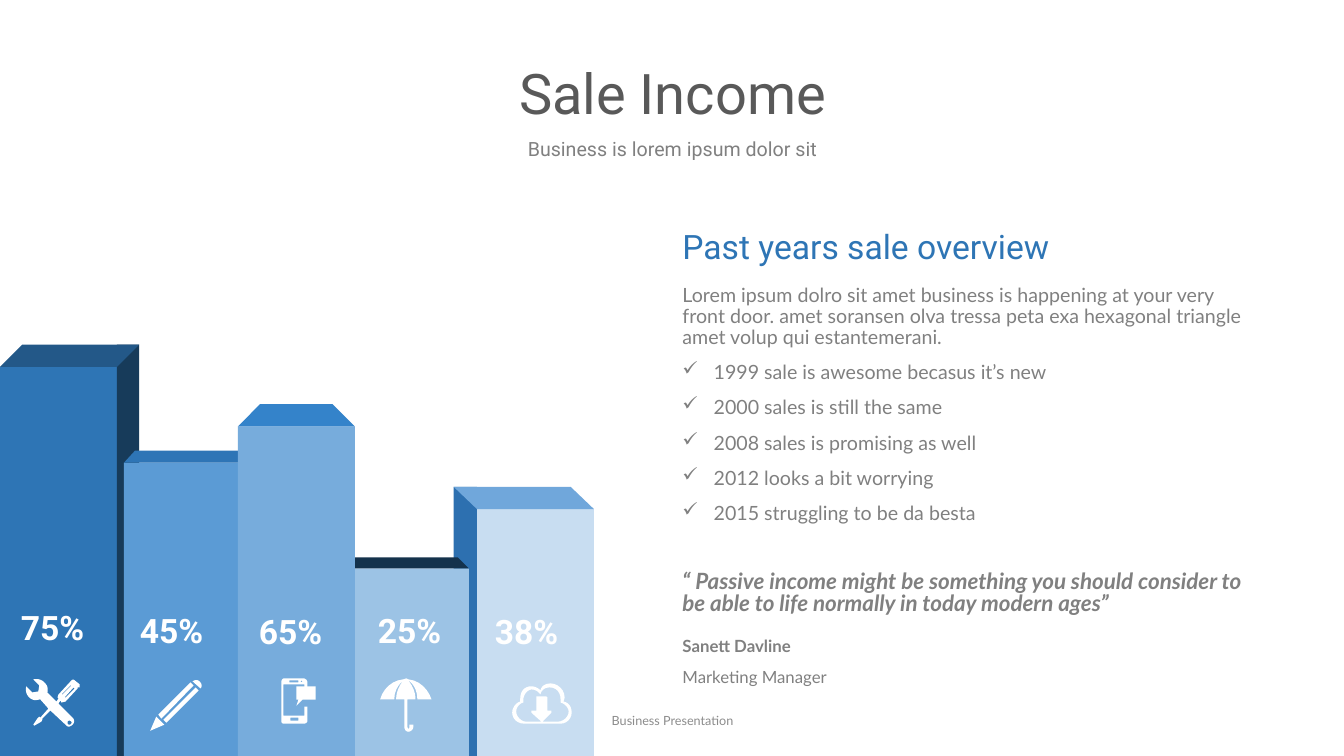
from dataclasses import dataclass
from typing import Optional

from lxml.etree import SubElement
from pptx import Presentation
from pptx.dml.color import RGBColor
from pptx.enum.shapes import MSO_SHAPE
from pptx.enum.text import MSO_ANCHOR, MSO_AUTO_SIZE, PP_ALIGN
from pptx.oxml.ns import qn
from pptx.util import Inches, Pt

WHITE = RGBColor(0xFF, 0xFF, 0xFF)
DARK = RGBColor(0x59, 0x59, 0x59)
GREY = RGBColor(0x80, 0x80, 0x80)
PALE = RGBColor(0x8C, 0x8C, 0x8C)
BLUE = RGBColor(0x2E, 0x75, 0xB5)
NAVY = RGBColor(0x17, 0x3B, 0x5A)
STEEL = RGBColor(0x2D, 0x70, 0xB0)

BASE = 7.5
WIDTH = 1.16
STEPS = 6  # line pieces per curve

# A point is (x, y); a curve is (x1, y1, x2, y2, x, y)
Outline = list[tuple[float, ...]]


@dataclass
class Bar:
    label: str
    left: float
    top: float
    rise: float
    lean: tuple[float, float]  # shift of the roof's back corners
    front: RGBColor
    roof: RGBColor
    spot: tuple[float, float]  # place of the label
    side: Optional[RGBColor] = None


@dataclass
class Text:
    lines: list[str]
    box: tuple[float, float, float, float]
    size: float
    color: RGBColor = GREY
    font: str = "Lato"
    bold: bool = False
    slant: bool = False
    align: PP_ALIGN = PP_ALIGN.LEFT
    anchor: MSO_ANCHOR = MSO_ANCHOR.TOP
    space: float = 0.9
    before: float = 10
    ticks: bool = False  # tick every line after the first


BARS = [
    Bar("38%", 4.73, 5.05, 0.22, (-0.23, -0.23), RGBColor(0xC8, 0xDD, 0xF1),
        RGBColor(0x70, 0xA7, 0xDB), (4.81, 6.06), STEEL),
    Bar("25%", 3.49, 5.64, 0.11, (-0.11, -0.11), RGBColor(0x9C, 0xC3, 0xE5),
        RGBColor(0x14, 0x32, 0x4C), (3.65, 6.05)),
    Bar("75%", 0, 3.64, 0.22, (0.22, 0.22), BLUE,
        RGBColor(0x23, 0x58, 0x88), (0.11, 6.02), NAVY),
    Bar("45%", 1.23, 4.59, 0.12, (0.11, 0.11), RGBColor(0x5B, 0x9B, 0xD5),
        RGBColor(0x2E, 0x75, 0xB6), (1.29, 6.05)),
    Bar("65%", 2.36, 4.23, 0.22, (0.22, -0.22), RGBColor(0x77, 0xAC, 0xDC),
        RGBColor(0x34, 0x83, 0xCA), (2.47, 6.06)),
]

TEXTS = [
    Text(["Business is lorem ipsum dolor sit"], (1.67, 1.34, 10, 0.41), 14,
         font="Roboto", align=PP_ALIGN.CENTER),
    Text(["Past years sale overview"], (6.67, 2.24, 5.75, 0.52), 24, BLUE, "Roboto"),
    Text(["Lorem ipsum dolro sit amet business is happening at your very front door. "
          "amet soransen olva tressa peta exa hexagonal triangle amet volup qui "
          "estantemerani.",
          "1999 sale is awesome becasus it’s new",
          "2000 sales is still the same",
          "2008 sales is promising as well",
          "2012 looks a bit worrying",
          "2015 struggling to be da besta"], (6.67, 2.78, 5.75, 2.86), 14, ticks=True),
    Text(["“ Passive income might be something you should consider to be able to life "
          "normally in today modern ages”"], (6.67, 5.63, 5.75, 0.54), 16,
         bold=True, slant=True, space=0.8),
    Text(["Sanett Davline"], (6.67, 6.28, 2.38, 0.34), 12, bold=True),
    Text(["Marketing Manager"], (6.67, 6.59, 2.38, 0.41), 12),
    Text(["Business Presentation"], (4.42, 6.95, 4.5, 0.4), 9, PALE,
         align=PP_ALIGN.CENTER, anchor=MSO_ANCHOR.MIDDLE, space=1, before=0),
]

TOOLS: list[Outline] = [
    [(0.79, 6.79), (0.74, 6.75), (0.73, 6.74, 0.72, 6.74, 0.71, 6.75), (0.7, 6.76),
     (0.58, 6.89), (0.57, 6.92), (0.58, 6.93), (0.56, 6.96), (0.47, 6.87),
     (0.48, 6.83, 0.47, 6.8, 0.44, 6.77), (0.41, 6.74, 0.37, 6.73, 0.33, 6.74),
     (0.39, 6.8), (0.38, 6.86), (0.32, 6.87), (0.26, 6.81),
     (0.25, 6.85, 0.26, 6.89, 0.29, 6.92), (0.32, 6.95, 0.36, 6.95, 0.39, 6.94),
     (0.4, 6.94), (0.48, 7.03), (0.4, 7.12), (0.39, 7.11), (0.37, 7.13), (0.33, 7.19),
     (0.34, 7.2), (0.41, 7.16), (0.42, 7.14), (0.42, 7.13), (0.5, 7.05), (0.65, 7.19),
     (0.66, 7.2, 0.67, 7.21, 0.68, 7.21), (0.69, 7.21, 0.71, 7.2, 0.72, 7.19),
     (0.74, 7.17, 0.74, 7.14, 0.72, 7.12), (0.58, 6.98), (0.6, 6.95), (0.61, 6.97),
     (0.65, 6.96), (0.77, 6.83), (0.77, 6.82), (0.79, 6.82)],
    [(0.69, 7.15), (0.7, 7.15, 0.71, 7.16, 0.71, 7.17), (0.71, 7.18, 0.7, 7.19, 0.69, 7.19),
     (0.67, 7.19, 0.67, 7.18, 0.67, 7.17), (0.67, 7.16, 0.67, 7.15, 0.69, 7.15)],
    [(0.62, 6.89), (0.61, 6.89), (0.7, 6.8), (0.71, 6.8)],
    [(0.65, 6.92), (0.64, 6.92), (0.73, 6.82), (0.74, 6.83)],
]
PENCIL: list[Outline] = [
    [(1.55, 7.11), (1.49, 7.25), (1.63, 7.19)],
    [(1.89, 6.77), (1.57, 7.09), (1.6, 7.13), (1.92, 6.8)],
    [(1.94, 6.82), (1.62, 7.14), (1.65, 7.17), (1.97, 6.85)],
    [(1.98, 6.76), (1.95, 6.73, 1.91, 6.76, 1.91, 6.76), (1.99, 6.83),
     (1.99, 6.83, 2.02, 6.8, 1.98, 6.76)],
]
PHONE: list[Outline] = [
    [(3.02, 7.1), (2.81, 7.1), (2.81, 6.79), (3.02, 6.79), (3.02, 6.85), (3.05, 6.85),
     (3.05, 6.77), (3.05, 6.75, 3.03, 6.73, 3.01, 6.73), (2.82, 6.73),
     (2.8, 6.73, 2.79, 6.75, 2.79, 6.77), (2.79, 7.15),
     (2.79, 7.17, 2.8, 7.18, 2.82, 7.18), (3.01, 7.18),
     (3.03, 7.18, 3.05, 7.17, 3.05, 7.15), (3.05, 7.01), (3.02, 7.01)],
    [(2.99, 6.75), (3, 6.76), (2.99, 6.77), (2.98, 6.76)],
    [(2.87, 6.75), (2.96, 6.75), (2.96, 6.77), (2.87, 6.77)],
    [(2.96, 7.15), (2.88, 7.15), (2.88, 7.12), (2.96, 7.12)],
]
BUBBLE: list[Outline] = [
    [(2.94, 6.94), (2.96, 6.94), (2.94, 7), (3, 6.94), (3.13, 6.94), (3.13, 6.81), (2.94, 6.81)],
]
BROLLY: list[Outline] = [
    [(4.14, 6.94), (4.28, 6.94), (4.25, 6.84, 4.16, 6.75, 4.05, 6.74), (4.03, 6.73),
     (4, 6.74), (3.89, 6.75, 3.8, 6.83, 3.77, 6.94), (3.91, 6.94),
     (3.91, 6.82, 3.99, 6.76, 4, 6.75), (3.92, 6.85, 3.93, 6.94, 3.93, 6.94),
     (4.01, 6.94), (4.01, 7.21), (4.01, 7.24, 4.03, 7.26, 4.05, 7.26),
     (4.07, 7.26, 4.1, 7.24, 4.1, 7.21), (4.1, 7.19), (4.06, 7.19), (4.06, 7.21),
     (4.06, 7.22, 4.06, 7.23, 4.05, 7.23), (4.05, 7.23, 4.04, 7.22, 4.04, 7.21),
     (4.04, 6.94), (4.12, 6.94), (4.12, 6.94, 4.13, 6.85, 4.05, 6.75),
     (4.07, 6.76, 4.14, 6.82, 4.14, 6.94)],
]
CLOUD: list[Outline] = [
    [(5.59, 6.96), (5.59, 6.95, 5.6, 6.93, 5.6, 6.92), (5.6, 6.84, 5.53, 6.78, 5.46, 6.78),
     (5.37, 6.78, 5.36, 6.85, 5.36, 6.85), (5.36, 6.85, 5.32, 6.8, 5.25, 6.81),
     (5.19, 6.82, 5.16, 6.87, 5.16, 6.93), (5.16, 6.96),
     (5.12, 6.97, 5.08, 7.02, 5.08, 7.07), (5.08, 7.13, 5.13, 7.18, 5.2, 7.18),
     (5.56, 7.18), (5.62, 7.18, 5.67, 7.13, 5.67, 7.07),
     (5.67, 7.01, 5.64, 6.97, 5.59, 6.96)],
    [(5.53, 7.16), (5.38, 7.16), (5.47, 7.07), (5.47, 7.05), (5.43, 7.05), (5.43, 6.92),
     (5.42, 6.91), (5.32, 6.91), (5.32, 7.05), (5.27, 7.05), (5.27, 7.07), (5.37, 7.16),
     (5.22, 7.16), (5.17, 7.16, 5.12, 7.11, 5.12, 7.06),
     (5.12, 7.02, 5.15, 6.98, 5.19, 6.97), (5.19, 6.95),
     (5.19, 6.9, 5.22, 6.85, 5.27, 6.84), (5.33, 6.84, 5.36, 6.89, 5.36, 6.89),
     (5.36, 6.89, 5.37, 6.82, 5.45, 6.82), (5.52, 6.82, 5.56, 6.87, 5.56, 6.94),
     (5.56, 6.97), (5.6, 6.98, 5.64, 7.02, 5.64, 7.06),
     (5.64, 7.11, 5.59, 7.16, 5.53, 7.16)],
]


def paint(shape, color: RGBColor) -> None:
    shape.shadow.inherit = False
    shape.fill.solid()
    shape.fill.fore_color.rgb = color
    shape.line.fill.background()


def flatten(outline: Outline) -> list[tuple[int, int]]:
    """Turn curves into short lines."""
    points = [outline[0]]
    for step in outline[1:]:
        if len(step) == 2:
            points.append(step)
            continue
        (x0, y0), (x1, y1, x2, y2, x3, y3) = points[-1], step
        for n in range(1, STEPS + 1):
            t = n / STEPS
            a, b, c, d = (1 - t) ** 3, 3 * t * (1 - t) ** 2, 3 * t * t * (1 - t), t ** 3
            points.append((a * x0 + b * x1 + c * x2 + d * x3,
                           a * y0 + b * y1 + c * y2 + d * y3))
    return [(Inches(x), Inches(y)) for x, y in points]


def trace(shapes, outlines: list[Outline], color: RGBColor) -> None:
    first, *rest = [flatten(outline) for outline in outlines]
    pen = shapes.build_freeform(*first[0])
    pen.add_line_segments(first[1:], close=True)
    for points in rest:
        pen.move_to(*points[0])
        pen.add_line_segments(points[1:], close=True)
    paint(pen.convert_to_shape(), color)


def block(shapes, left: float, top: float, width: float, color: RGBColor) -> None:
    box = (Inches(v) for v in (left, top, width, BASE - top))
    paint(shapes.add_shape(MSO_SHAPE.RECTANGLE, *box), color)


def draw_bar(shapes, bar: Bar) -> None:
    right, back = bar.left + WIDTH, bar.top - bar.rise
    near, far = bar.lean
    block(shapes, bar.left, bar.top, WIDTH, bar.front)
    if bar.side:
        block(shapes, right if far > 0 else bar.left + near, back, abs(far), bar.side)
    trace(shapes, [[(bar.left + near, back), (right + far, back),
                    (right, bar.top), (bar.left, bar.top)]], bar.roof)


def write(shape, text: Text) -> None:
    shape.left, shape.top, shape.width, shape.height = (Inches(v) for v in text.box)
    frame = shape.text_frame
    frame.text = "\n".join(text.lines)
    frame.word_wrap = True
    frame.auto_size = MSO_AUTO_SIZE.NONE
    frame.vertical_anchor = text.anchor
    for n, para in enumerate(frame.paragraphs):
        para.alignment, para.line_spacing = text.align, text.space
        para.space_before = Pt(text.before)
        font = para.font
        font.name, font.size, font.color.rgb = text.font, Pt(text.size), text.color
        font.bold, font.italic = text.bold, text.slant
        if text.ticks and n:
            props = para._p.get_or_add_pPr()
            props.set("marL", str(Inches(0.31)))
            props.set("indent", str(-Inches(0.31)))
            mark = SubElement(props, qn("a:buChar"))
            mark.set("char", "✓")
            props.insert_element_before(mark, "a:tabLst", "a:defRPr", "a:extLst")


def main() -> None:
    deck = Presentation()
    deck.slide_width, deck.slide_height = Inches(13.33), Inches(7.5)
    slide = deck.slides.add_slide(deck.slide_layouts[5])
    shapes = slide.shapes

    # Title
    write(shapes.title, Text(["Sale Income"], (1.67, 0.55, 10, 0.76), 40, DARK, "Roboto",
                             align=PP_ALIGN.CENTER, anchor=MSO_ANCHOR.BOTTOM, before=0))

    # Bars, then their labels and icons
    for bar in BARS:
        draw_bar(shapes, bar)
    labels = [Text([bar.label], (*bar.spot, 0.94, 0.52), 24, WHITE, "Roboto", bold=True)
              for bar in BARS]
    for icon in (TOOLS, *([part] for part in PENCIL), PHONE, BUBBLE, BROLLY, CLOUD):
        trace(shapes, icon, WHITE)

    # Texts
    for text in labels + TEXTS:
        write(shapes.add_textbox(0, 0, 0, 0), text)

    deck.save("out.pptx")


if __name__ == "__main__":
    main()
